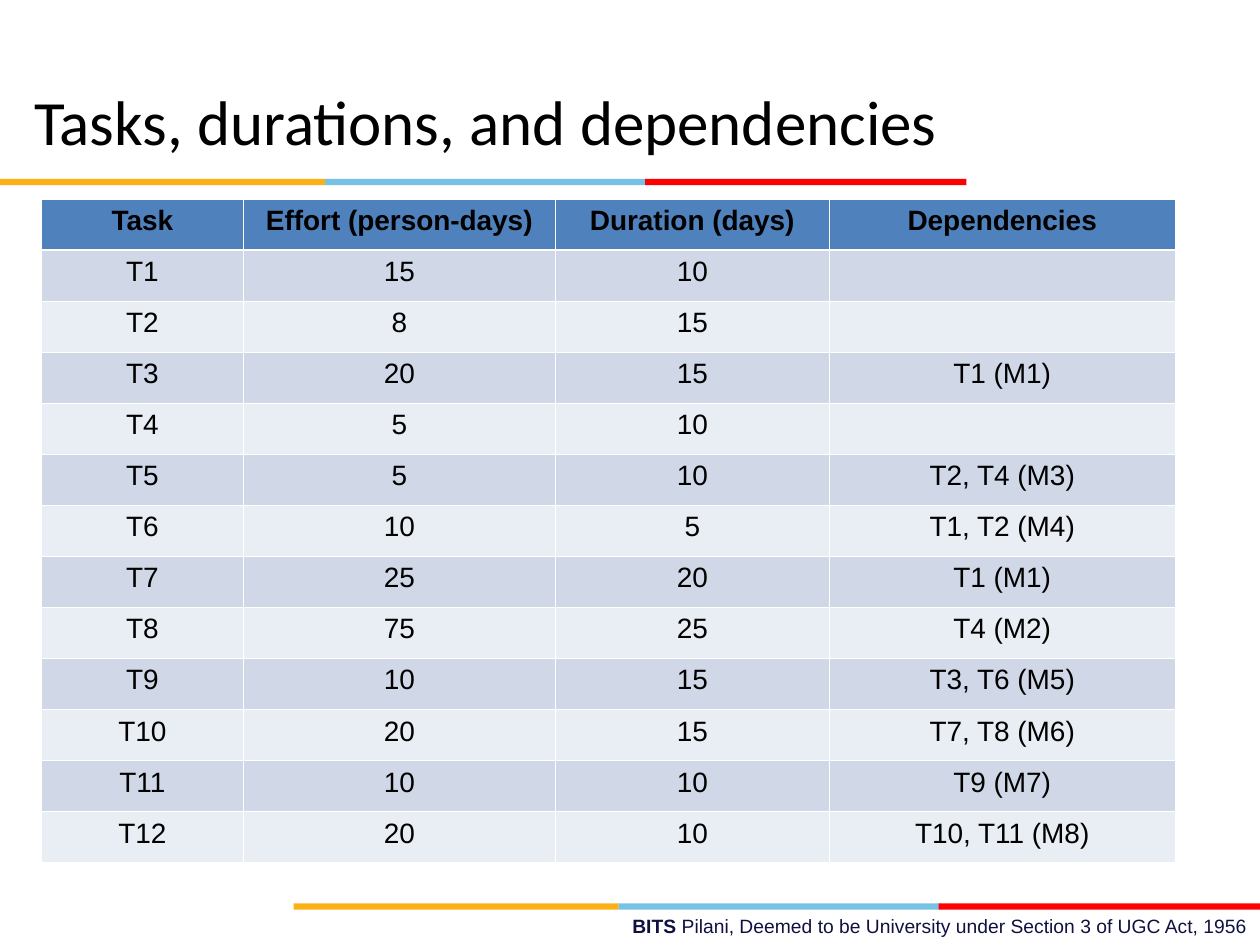
from lxml.etree import SubElement
from pptx import Presentation
from pptx.dml.color import RGBColor
from pptx.enum.shapes import MSO_SHAPE
from pptx.enum.text import MSO_ANCHOR, PP_ALIGN
from pptx.oxml.ns import qn
from pptx.util import Inches, Pt

TITLE = "Tasks, durations, and dependencies"
FOOTER = ("BITS ", "Pilani, Deemed to be University under Section 3 of UGC Act, 1956")
HEADER = ("Task", "Effort (person-days)", "Duration (days)", "Dependencies")
TASKS = [
    ("T1", 15, 10, ""),
    ("T2", 8, 15, ""),
    ("T3", 20, 15, "T1 (M1)"),
    ("T4", 5, 10, ""),
    ("T5", 5, 10, "T2, T4 (M3)"),
    ("T6", 10, 5, "T1, T2 (M4)"),
    ("T7", 25, 20, "T1 (M1)"),
    ("T8", 75, 25, "T4 (M2)"),
    ("T9", 10, 15, "T3, T6 (M5)"),
    ("T10", 20, 15, "T7, T8 (M6)"),
    ("T11", 10, 10, "T9 (M7)"),
    ("T12", 20, 10, "T10, T11 (M8)"),
]
WIDTHS = (1.6, 2.48, 2.17, 2.75)
HEIGHT = 5.27
STRIPES = [(0, 2.58, "FCB017"), (2.58, 2.55, "76C2E5"), (5.12, 2.55, "FF0000")]
HEAD_FILL = "4F81BD"
BANDS = ("D0D8E8", "E9EDF4")


def paint(fill, color):
    fill.solid()
    fill.fore_color.rgb = RGBColor.from_string(color)


def style(run, size, color="000000", name="Arial", bold=False):
    font = run.font
    font.size, font.name, font.bold = Pt(size), name, bold
    font.color.rgb = RGBColor.from_string(color)


def add_stripe(slide, left, top):
    """Draw the three-colour rule."""
    for shift, width, color in STRIPES:
        bar = slide.shapes.add_shape(
            MSO_SHAPE.RECTANGLE, Inches(left + shift), Inches(top),
            Inches(width), Inches(0.05))
        bar.shadow.inherit = False
        paint(bar.fill, color)
        bar.line.fill.background()


def add_footer(slide):
    box = slide.shapes.add_textbox(
        Inches(3.58), Inches(7.21), Inches(6.42), Inches(0.29))
    box.text_frame.word_wrap = True
    para = box.text_frame.paragraphs[0]
    para.alignment = PP_ALIGN.RIGHT
    for text, bold in zip(FOOTER, (True, False)):
        run = para.add_run()
        run.text = text
        style(run, 11, "101141", bold=bold)


def add_title(slide):
    title = slide.shapes.title
    title.left, title.top = Inches(0.17), Inches(0.33)
    title.width, title.height = Inches(9), Inches(1.25)
    frame = title.text_frame
    frame.text = TITLE
    frame.vertical_anchor = MSO_ANCHOR.MIDDLE
    para = frame.paragraphs[0]
    para.alignment = PP_ALIGN.LEFT
    style(para.runs[0], 36, name="Calibri")


def set_borders(cell, **points):
    """Give the cell white borders, with widths keyed by side."""
    props = cell._tc.get_or_add_tcPr()
    for side, width in points.items():
        line = SubElement(props, qn("a:ln" + side), w=str(Pt(width)))
        fill = SubElement(line, qn("a:solidFill"))
        SubElement(fill, qn("a:srgbClr"), val="FFFFFF")


def add_tasks(slide):
    rows = [HEADER] + TASKS
    table = slide.shapes.add_table(
        len(rows), len(HEADER), Inches(0.33), Inches(1.58),
        Inches(sum(WIDTHS)), Inches(HEIGHT)).table
    for col, width in zip(table.columns, WIDTHS):
        col.width = Inches(width)
    for r, values in enumerate(rows):
        table.rows[r].height = Inches(HEIGHT / len(rows))
        for c, value in enumerate(values):
            cell = table.cell(r, c)
            cell.margin_left = cell.margin_right = Inches(0.06)
            set_borders(cell, L=0.45, R=0.45, T=1.47 if r == 1 else 0.45,
                        B=1.47 if r == 0 else 0.45)
            paint(cell.fill, BANDS[(r - 1) % 2] if r else HEAD_FILL)
            cell.text_frame.text = str(value)
            para = cell.text_frame.paragraphs[0]
            para.alignment = PP_ALIGN.CENTER
            for run in para.runs:
                style(run, 16, bold=r == 0)


def main():
    deck = Presentation()
    deck.slide_width, deck.slide_height = Inches(10), Inches(7.5)
    slide = deck.slides.add_slide(deck.slide_layouts[5])
    add_footer(slide)
    add_stripe(slide, 2.33, 7.17)
    add_stripe(slide, 0, 1.42)
    add_title(slide)
    add_tasks(slide)
    deck.save("out.pptx")


if __name__ == "__main__":
    main()
